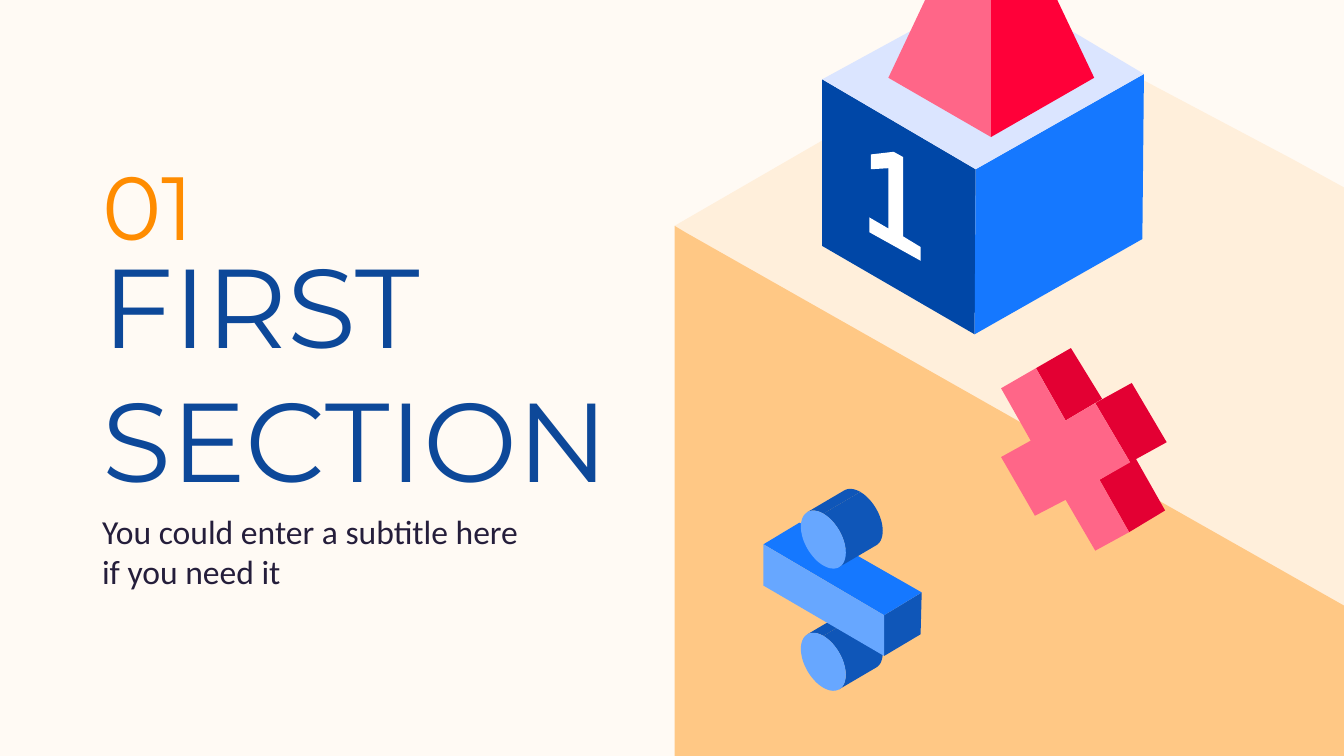
import math

import pptx
import pptx.dml.color
import pptx.enum.text
import pptx.util

Cm = pptx.util.Cm
RGBColor = pptx.dml.color.RGBColor
Anchor = pptx.enum.text.MSO_ANCHOR

CREAM = RGBColor(0xFF, 0xFA, 0xF4)
PALE_PEACH = RGBColor(0xFF, 0xEF, 0xDB)
PEACH = RGBColor(0xFF, 0xC8, 0x85)
ORANGE = RGBColor(0xFF, 0x8C, 0x00)
TITLE_BLUE = RGBColor(0x0D, 0x48, 0x99)
INK = RGBColor(0x25, 0x1E, 0x3B)
WHITE = RGBColor(0xFF, 0xFF, 0xFF)
NAVY = RGBColor(0x00, 0x47, 0xA7)
DARK_BLUE = RGBColor(0x0F, 0x56, 0xB8)
BLUE = RGBColor(0x15, 0x78, 0xFF)
LIGHT_BLUE = RGBColor(0x67, 0xA7, 0xFF)
PALE_BLUE = RGBColor(0xDB, 0xE5, 0xFF)
PINK = RGBColor(0xFF, 0x66, 0x88)
RED = RGBColor(0xFF, 0x00, 0x39)
DARK_RED = RGBColor(0xE3, 0x00, 0x33)

deck = pptx.Presentation()
deck.slide_width = Cm(25.4)
deck.slide_height = Cm(14.29)
slide = deck.slides.add_slide(deck.slide_layouts[5])
slide.background.fill.solid()
slide.background.fill.fore_color.rgb = CREAM


def draw_face(color, points):
    corners = [(Cm(x), Cm(y)) for x, y in points]
    builder = slide.shapes.build_freeform(*corners[0])
    builder.add_line_segments(corners[1:], close=True)
    face = builder.convert_to_shape()
    face.shadow.inherit = False
    face.fill.solid()
    face.fill.fore_color.rgb = color
    face.line.fill.background()


def iso_arc(center_x, center_y, start, end):
    radius = 0.49
    arc = []
    for degrees in range(start, end + 1, 5):
        angle = math.radians(degrees)
        across = radius * math.cos(angle)
        arc.append((center_x + across * math.cos(math.pi / 6),
                    center_y + across / 2 + radius * math.sin(angle)))
    return arc


floor = [
    (PALE_PEACH, [(19.71, 0.51), (19.48, 0.38), (12.75, 4.27), (16.36, 14.33),
                  (23.29, 16.87), (31.9, 16.87), (31.9, 7.11), (24.41, 3)]),
    (PEACH, [(12.75, 4.27), (12.75, 14.33), (17.45, 16.87), (31.9, 16.87),
             (31.9, 15.11), (29.18, 13.59), (12.95, 4.39)]),
]
number_block = [
    (NAVY, [(15.54, 1.5), (15.54, 4.65), (18.42, 6.32), (18.44, 3.2)]),
    (BLUE, [(21.62, 1.4), (18.44, 3.2), (18.42, 6.32), (21.59, 4.52)]),
    (PALE_BLUE, [(18.8, -0.28), (15.54, 1.5), (18.44, 3.2), (21.62, 1.4)]),
    (WHITE, [(16.89, 2.87), (16.46, 2.92), (16.46, 3.2), (16.79, 3.18),
             (16.79, 4.32), (16.43, 4.11), (16.43, 4.39), (17.4, 4.93),
             (17.4, 4.67), (17.07, 4.47), (17.07, 2.97)]),
]
pyramid = [
    (PINK, [(18.73, -2.64), (16.79, 1.47), (18.73, 2.59)]),
    (RED, [(18.73, -2.64), (18.73, 2.59), (20.68, 1.47)]),
]
cross = [
    (DARK_RED, [(21.46, 8.66), (20.78, 9.07), (21.34, 10.06), (22.02, 9.65)]),
    (DARK_RED, [(20.24, 6.58), (19.58, 6.96), (20.14, 7.95), (20.83, 7.54)]),
    (DARK_RED, [(21.39, 7.24), (20.7, 7.62), (21.36, 8.74), (22.05, 8.36)]),
    (PINK, [(19.58, 6.96), (18.92, 7.34), (19.48, 8.33), (18.92, 8.64),
            (19.56, 9.75), (20.14, 9.45), (20.7, 10.41), (21.34, 10.06),
            (20.78, 9.07), (21.36, 8.74), (20.7, 7.62), (20.14, 7.95)]),
]
bar = [
    (DARK_BLUE, [(17.42, 11.2), (16.71, 11.63), (16.71, 12.4), (17.4, 11.99)]),
    (BLUE, [(15.11, 9.88), (14.43, 10.29), (16.71, 11.63), (17.42, 11.2)]),
    (LIGHT_BLUE, [(14.43, 10.29), (14.43, 11.07), (16.71, 12.4), (16.71, 11.63)]),
]

cylinders = []
dot_x = 15.56
for dot_y in (12.51, 10.2):
    cylinder = []
    for start, end in ((-135, -90), (-90, 45)):
        front_edge = iso_arc(dot_x, dot_y, start, end)
        back_edge = iso_arc(dot_x + 0.7, dot_y - 0.41, start, end)
        cylinder.append((DARK_BLUE, front_edge + back_edge[::-1]))
    cylinder.append((LIGHT_BLUE, iso_arc(dot_x, dot_y, 0, 355)))
    cylinders.append(cylinder)
lower_dot, upper_dot = cylinders

for solid in (floor, number_block, pyramid, cross, lower_dot, bar, upper_dot):
    for color, points in solid:
        draw_face(color, points)

title = slide.shapes.title
subtitle = slide.shapes.add_textbox(0, 0, 0, 0)
number = slide.shapes.add_textbox(0, 0, 0, 0)
texts = [
    (title, "FIRST SECTION", (1.68, 8.2, 10.54, 1.6), Anchor.BOTTOM,
     "Montserrat", 60, TITLE_BLUE, 1),
    (subtitle, "You could enter a subtitle here if you need it",
     (1.68, 9.4, 8.76, 1.6), Anchor.TOP, "Calibri", 18, INK, 1),
    (number, "01", (1.68, 2.49, 4.88, 2.46), Anchor.MIDDLE,
     "Montserrat", 48, ORANGE, 1.15),
]
for box, words, place, anchor, font_name, size, color, spacing in texts:
    box.left, box.top, box.width, box.height = [Cm(length) for length in place]
    frame = box.text_frame
    frame.word_wrap = True
    frame.auto_size = pptx.enum.text.MSO_AUTO_SIZE.NONE
    frame.vertical_anchor = anchor
    frame.margin_left = frame.margin_right = Cm(0.25)
    frame.margin_top = frame.margin_bottom = Cm(0.25)
    para = frame.paragraphs[0]
    para.text = words
    para.alignment = pptx.enum.text.PP_ALIGN.LEFT
    para.line_spacing = spacing
    para.space_before = pptx.util.Pt(0)
    para.font.name = font_name
    para.font.size = pptx.util.Pt(size)
    para.font.color.rgb = color

deck.save("out.pptx")
